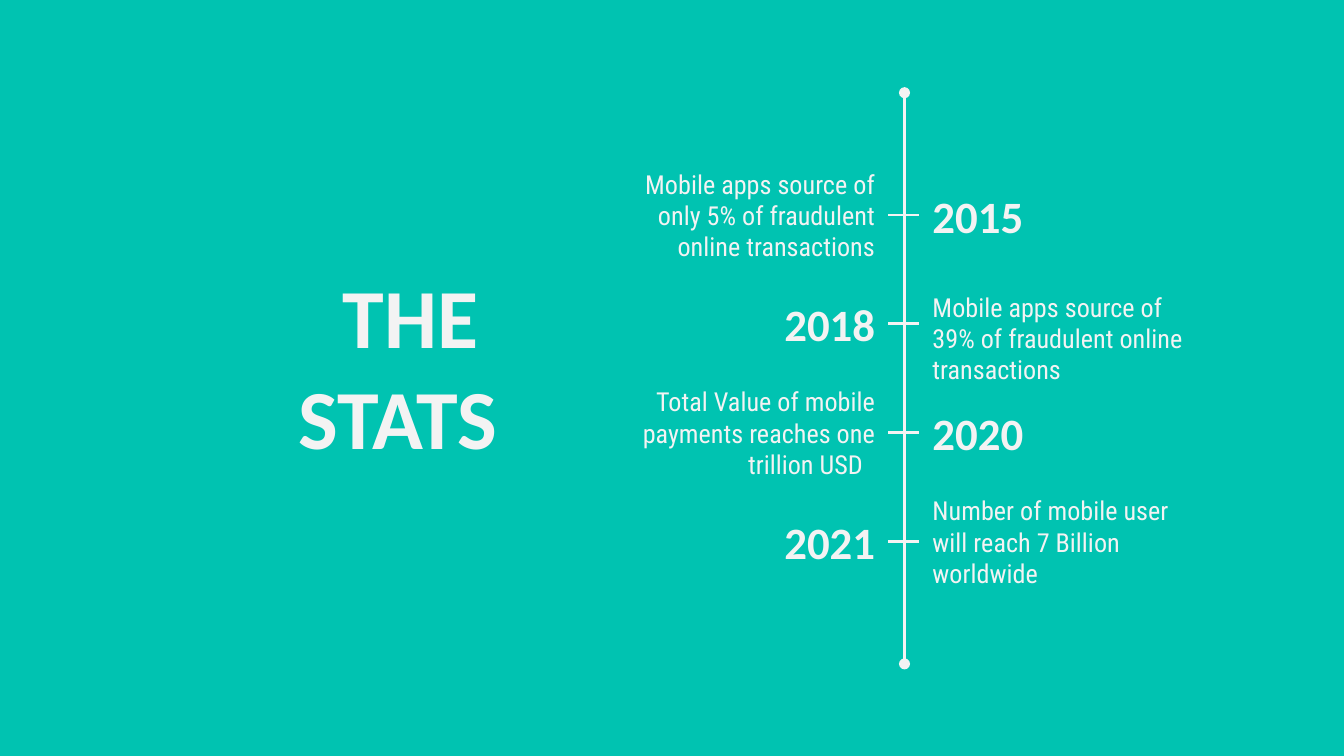
from lxml import etree
from pptx import Presentation
from pptx.dml.color import RGBColor
from pptx.enum import shapes, text
from pptx.oxml import ns
from pptx.util import Inches, Pt

COLORS = {"teal": "00C3B1", "white": "F3F3F3"}
FORMATS = {
    "title": {"name": "Calibri", "size": Pt(45), "bold": True},
    "year": {"name": "Calibri", "size": Pt(24), "bold": True},
    "fact": {"name": "Roboto Condensed", "size": Pt(14), "bold": False},
}
MIDDLE, TOP = text.MSO_ANCHOR.MIDDLE, text.MSO_ANCHOR.TOP
LEFT, RIGHT = text.PP_ALIGN.LEFT, text.PP_ALIGN.RIGHT

# Each row: left text, right text, anchor of the right text
ROWS = [
    ("Mobile apps source of only 5% of fraudulent online transactions", "2015", MIDDLE),
    ("2018", "Mobile apps source of 39% of fraudulent online transactions", TOP),
    ("Total Value of mobile payments reaches one trillion USD  ", "2020", MIDDLE),
    ("2021", "Number of mobile user will reach 7 Billion worldwide", MIDDLE),
]
FIRST_TICK, ROW_STEP, ROW_HEIGHT = 1.6, 0.81, 0.69
LEFT_X, RIGHT_X, COLUMN_WIDTH = 4.35, 6.84, 2.26
AXIS_X, AXIS_TOP, AXIS_BOTTOM = 6.73, 0.69, 4.94
TICK_START, TICK_END = 6.61, 6.84


def color(name):
    return RGBColor.from_string(COLORS[name])


def add_text(page, words, bounds, style, align, anchor):
    box = page.shapes.add_textbox(*(Inches(value) for value in bounds))
    frame = box.text_frame
    settings = {"word_wrap": True, "vertical_anchor": anchor}
    for side in ("left", "right", "top", "bottom"):
        settings[f"margin_{side}"] = Inches(0.1)
    for key, value in settings.items():
        setattr(frame, key, value)
    para = frame.paragraphs[0]
    para.text = words
    para.alignment = align
    for span in para.runs:
        for key, value in FORMATS[style].items():
            setattr(span.font, key, value)
        span.font.color.rgb = color("white")


def add_line(page, start, end, round_ends=False):
    line = page.shapes.add_connector(
        shapes.MSO_CONNECTOR.STRAIGHT, *(Inches(value) for value in (*start, *end)))
    line.line.color.rgb = color("white")
    line.line.width = Pt(1.5)
    if round_ends:
        outline = line.line._get_or_add_ln()
        for tag in ("a:headEnd", "a:tailEnd"):
            etree.SubElement(outline, ns.qn(tag), type="oval", w="med", len="med")
    etree.SubElement(line._element.spPr, ns.qn("a:effectLst"))


def add_row(page, index, left_words, right_words, right_anchor):
    tick_y = FIRST_TICK + index * ROW_STEP
    top = tick_y - ROW_HEIGHT / 2
    sides = ((left_words, LEFT_X, RIGHT, MIDDLE), (right_words, RIGHT_X, LEFT, right_anchor))
    for words, x, align, anchor in sides:
        style = "year" if words.isdigit() else "fact"
        add_text(page, words, (x, top, COLUMN_WIDTH, ROW_HEIGHT), style, align, anchor)
    add_line(page, (TICK_START, tick_y), (TICK_END, tick_y))


def main():
    # Widescreen deck, 16:9
    deck = Presentation()
    deck.slide_width = Inches(10)
    deck.slide_height = Inches(10) * 9 // 16
    page = deck.slides.add_slide(deck.slide_layouts[6])

    # Background
    page.background.fill.solid()
    page.background.fill.fore_color.rgb = color("teal")

    # Title
    add_text(page, "THE \vSTATS", (0.78, 1.87, 3.02, 1.89), "title", RIGHT, TOP)

    # Timeline
    add_line(page, (AXIS_X, AXIS_TOP), (AXIS_X, AXIS_BOTTOM), round_ends=True)
    for index, row in enumerate(ROWS):
        add_row(page, index, *row)

    deck.save("out.pptx")


main()
